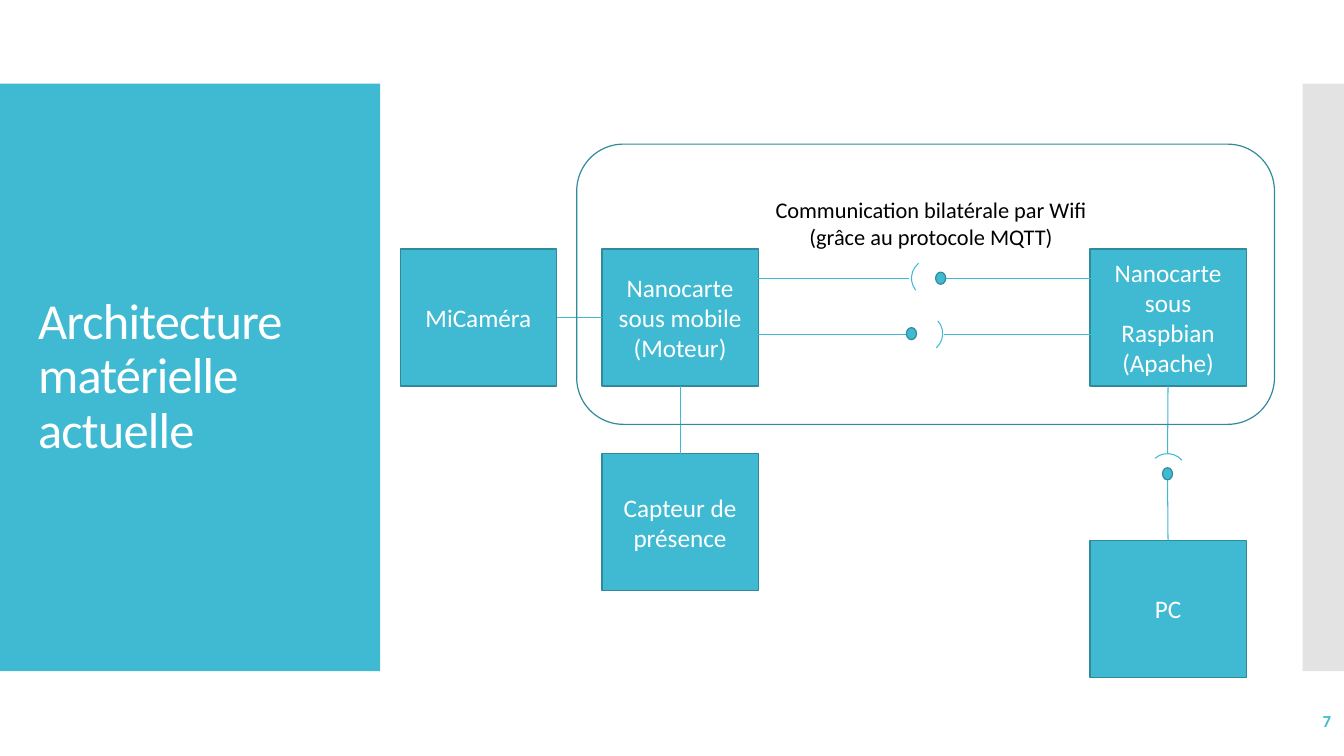
"""Build the slide showing the current hardware architecture."""
from dataclasses import dataclass
from typing import Optional

import pptx
import pptx.dml.color
import pptx.enum.shapes
import pptx.enum.text
import pptx.oxml.ns
import pptx.util
from lxml import etree

Inches = pptx.util.Inches
Pt = pptx.util.Pt
RGB = pptx.dml.color.RGBColor.from_string
MSO = pptx.enum.shapes.MSO_SHAPE
ALIGN = pptx.enum.text.PP_ALIGN
ANCHOR = pptx.enum.text.MSO_ANCHOR
qn = pptx.oxml.ns.qn

TOP, LEFT, BOTTOM, RIGHT = range(4)
BOX_W, BOX_H = 1.55, 1.36
ARC_SIZE = 0.38
DOT_W, DOT_H = 0.1, 0.12


@dataclass(frozen=True)
class Theme:
    font: str = "Calibri"
    accent: str = "40BAD2"
    outline: str = "2F8A9B"
    band: str = "C8C8C8"
    white: str = "FFFFFF"
    black: str = "000000"
    title: float = 36
    node: float = 18
    caption: float = 16
    number: float = 12
    outline_pt: float = 0.85
    link_pt: float = 0.75


@dataclass(frozen=True)
class Node:
    name: str
    x: float
    y: float
    text: str


@dataclass(frozen=True)
class Link:
    start: tuple[float, float]
    end: tuple[float, float]
    source: Optional[tuple[str, int]] = None
    target: Optional[tuple[str, int]] = None


@dataclass(frozen=True)
class Arc:
    x: float
    y: float
    angle: float


THEME = Theme()

NODES = [
    Node("mobile", 5.97, 2.47, "Nanocarte sous mobile\n(Moteur)"),
    Node("raspbian", 10.81, 2.47, "Nanocarte sous Raspbian\n(Apache)"),
    Node("sensor", 5.97, 4.5, "Capteur de présence"),
    Node("camera", 3.97, 2.47, "MiCaméra"),
    Node("pc", 10.81, 5.36, "PC"),
]

WIFI_LINKS = [
    Link((x, y), (x + 1.5, y)) for y in (2.76, 3.32) for x in (7.52, 9.36)
]
LINKS = WIFI_LINKS + [
    Link((6.74, 3.83), (6.74, 4.5), ("mobile", BOTTOM), ("sensor", TOP)),
    Link((5.52, 3.15), (5.97, 3.15), ("camera", RIGHT), ("mobile", LEFT)),
    Link((11.58, 5.36), (11.58, 4.75), source=("pc", TOP)),
    Link((11.58, 3.83), (11.58, 4.5), source=("raspbian", BOTTOM)),
]

ARCS = [Arc(9.04, 2.57, 231.1), Arc(8.97, 3.12, 48.1), Arc(11.39, 4.5, 319)]
DOTS = [(8.99, 3.25), (9.28, 2.7), (11.53, 4.64)]


def write(s, text: str, *, size: float, color: str, align=ALIGN.LEFT,
          anchor=ANCHOR.MIDDLE, bold: bool = False, spacing: float = 1,
          tracking: Optional[int] = None) -> None:
    """Fill a shape with formatted text, one paragraph per line."""
    tf = s.text_frame
    tf.word_wrap = True
    tf.vertical_anchor = anchor
    for i, line in enumerate(text.split("\n")):
        p = tf.add_paragraph() if i else tf.paragraphs[0]
        p.alignment = align
        p.line_spacing = spacing
        r = p.add_run()
        r.text = line
        r.font.name = THEME.font
        r.font.size = Pt(size)
        r.font.bold = bold
        r.font.color.rgb = RGB(color)
        if tracking is not None:
            r.font._element.set("spc", str(tracking))


def add_text(shapes, box: tuple[float, ...], text: str, **fmt) -> None:
    """Add a text box with formatted text."""
    write(shapes.add_textbox(*map(Inches, box)), text, **fmt)


def add_shape(shapes, kind, box: tuple[float, ...], *,
              fill: Optional[str] = None, line: Optional[str] = None,
              width: float = THEME.outline_pt):
    """Add a preset shape with optional fill and outline."""
    s = shapes.add_shape(kind, *map(Inches, box))
    s.shadow.inherit = False
    if fill:
        s.fill.solid()
        s.fill.fore_color.rgb = RGB(fill)
    else:
        s.fill.background()
    if line:
        s.line.color.rgb = RGB(line)
        s.line.width = Pt(width)
    else:
        s.line.fill.background()
    return s


def add_node(shapes, node: Node):
    """Add one labelled hardware box."""
    s = add_shape(shapes, MSO.RECTANGLE, (node.x, node.y, BOX_W, BOX_H),
                  fill=THEME.accent, line=THEME.outline)
    write(s, node.text, size=THEME.node, color=THEME.white,
          align=ALIGN.CENTER)
    return s


def add_link(shapes, link: Link, boxes: dict) -> None:
    """Add one straight connector, joined to its boxes."""
    c = shapes.add_connector(pptx.enum.shapes.MSO_CONNECTOR.STRAIGHT,
                             *map(Inches, link.start + link.end))
    c.line.color.rgb = RGB(THEME.accent)
    c.line.width = Pt(THEME.link_pt)
    etree.SubElement(c._element.spPr, qn("a:effectLst"))
    if link.source:
        name, side = link.source
        c.begin_connect(boxes[name], side)
    if link.target:
        name, side = link.target
        c.end_connect(boxes[name], side)


def add_frame(shapes) -> None:
    """Add the title panel, the side band, the title and the number."""
    add_shape(shapes, MSO.RECTANGLE, (0, 0.83, 3.77, 5.83), fill=THEME.accent)
    band = add_shape(shapes, MSO.RECTANGLE, (12.92, 0.83, 0.41, 5.83),
                     fill=THEME.band)
    color = band._element.spPr.find(".//" + qn("a:srgbClr"))
    etree.SubElement(color, qn("a:alpha"), val="50000")
    add_text(shapes, (0.28, 1.23, 3.22, 5.03),
             "Architecture matérielle actuelle", size=THEME.title,
             color=THEME.white, spacing=0.9, tracking=-60)
    add_text(shapes, (11.63, 6.95, 1.67, 0.4), "7", size=THEME.number,
             color=THEME.accent, align=ALIGN.RIGHT, bold=True)


def main() -> None:
    """Build and save the presentation."""
    prs = pptx.Presentation()
    prs.slide_width, prs.slide_height = Inches(13.33), Inches(7.5)
    shapes = prs.slides.add_slide(prs.slide_layouts[6]).shapes
    add_frame(shapes)
    boxes = {node.name: add_node(shapes, node) for node in NODES}
    add_text(shapes, (7.4, 1.9, 3.67, 0.64),
             "Communication bilatérale par Wifi (grâce au protocole MQTT)",
             size=THEME.caption, color=THEME.black, align=ALIGN.CENTER,
             anchor=ANCHOR.TOP)
    for link in LINKS:
        add_link(shapes, link, boxes)
    for arc in ARCS:
        s = add_shape(shapes, MSO.ARC, (arc.x, arc.y, ARC_SIZE, ARC_SIZE),
                      line=THEME.accent, width=THEME.link_pt)
        s.rotation = arc.angle
    for x, y in DOTS:
        add_shape(shapes, MSO.OVAL, (x, y, DOT_W, DOT_H),
                  fill=THEME.accent, line=THEME.outline)
    add_shape(shapes, MSO.ROUNDED_RECTANGLE, (5.72, 1.43, 6.92, 2.78),
              line=THEME.outline)
    prs.save("out.pptx")


if __name__ == "__main__":
    main()
